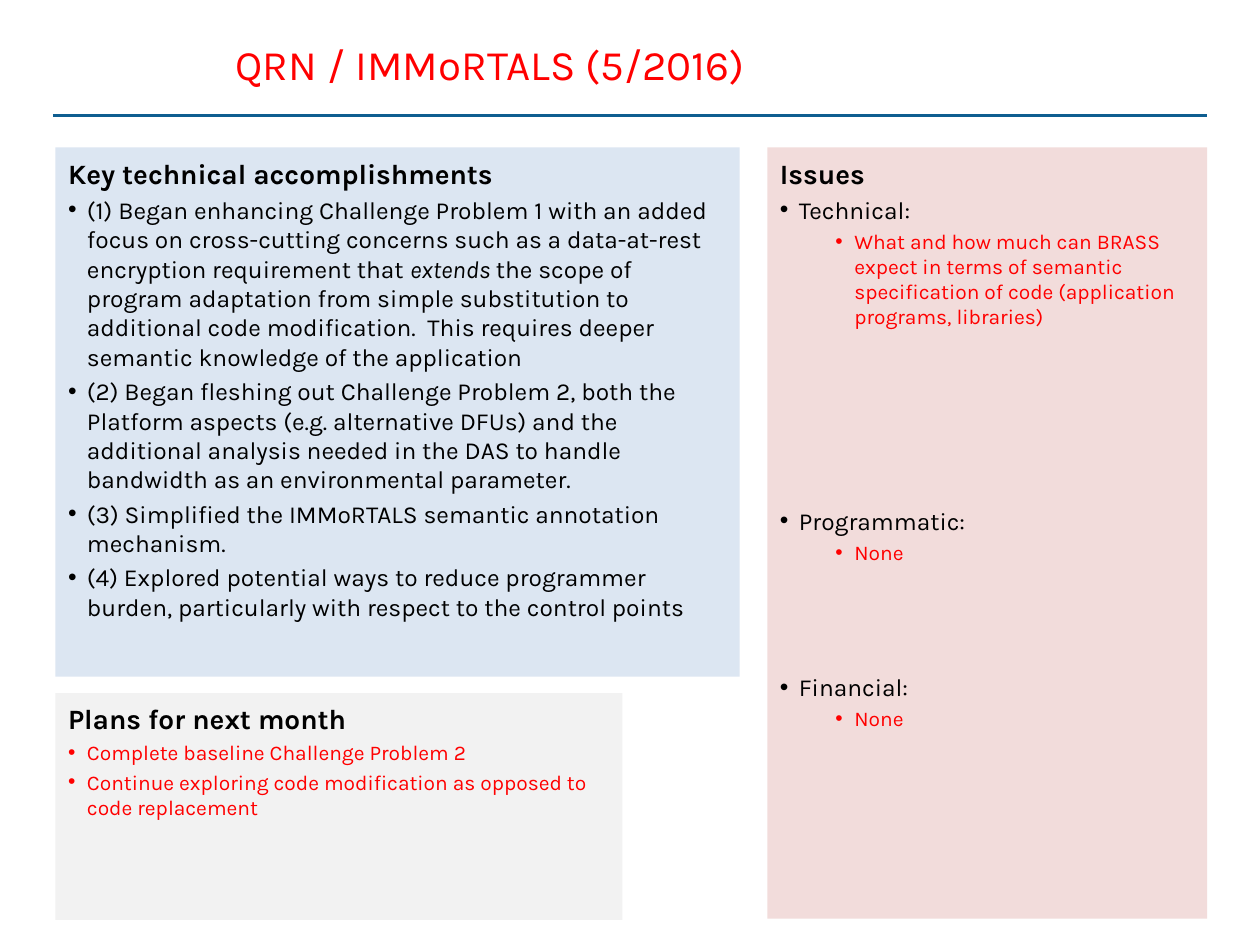
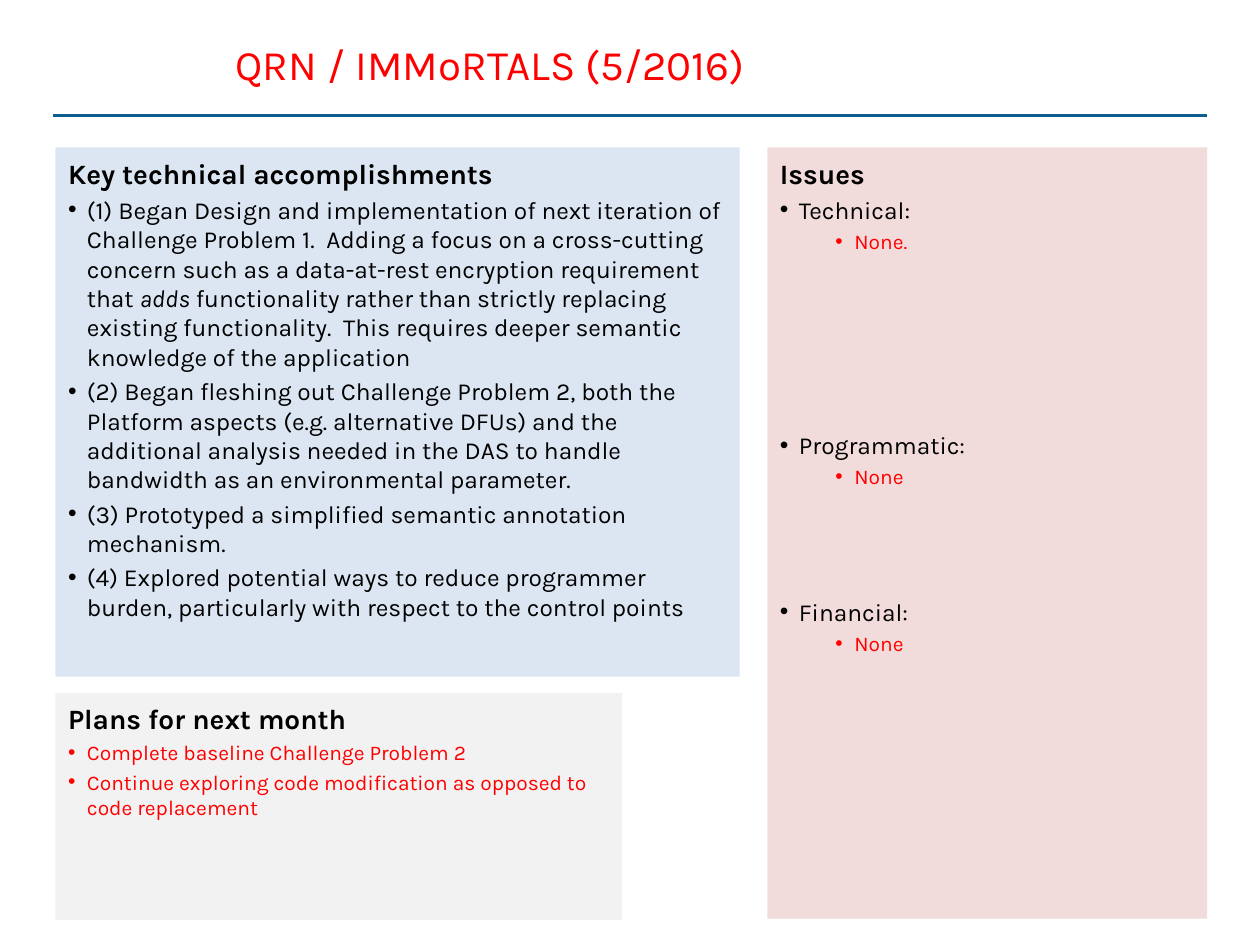
from dataclasses import dataclass

from lxml.etree import SubElement
from pptx import Presentation
from pptx.dml.color import RGBColor
from pptx.enum.shapes import MSO_CONNECTOR
from pptx.enum.text import MSO_ANCHOR, MSO_AUTO_SIZE, PP_ALIGN
from pptx.oxml.ns import qn
from pptx.util import Inches, Pt


@dataclass(frozen=True)
class Theme:
    face: str = "Karla"
    ink: str = "000000"
    alert: str = "FF0000"
    rule: str = "0F5E90"
    blue: str = "DCE6F2"
    rose: str = "F2DCDB"
    gray: str = "F2F2F2"
    title: int = 24
    head: int = 16
    item: int = 14
    note: int = 12
    lead: float = 0.2   # space before, as a share of the type size
    step: float = 19.6  # height of one skipped row, in points


WIDE, HIGH = 10, 7.5
COLS, ROWS = 100, 75
TITLE = "QRN / IMMoRTALS (5/2016)"
DONE = [
    "(2) Began fleshing out Challenge Problem 2, both the Platform aspects "
    "(e.g. alternative DFUs) and the additional analysis needed in the DAS to "
    "handle bandwidth as an environmental parameter.",
    "(4) Explored potential ways to reduce programmer burden, particularly "
    "with respect to the control points",
]
PLANS = [
    "Complete baseline Challenge Problem 2",
    "Continue exploring code modification as opposed to code replacement",
]
# Asterisks enclose italics.
MONTHS = [
    dict(
        first="(1) Began enhancing Challenge Problem 1 with an added focus on "
              "cross-cutting concerns such as a data-at-rest encryption "
              "requirement that *extends *the scope of program adaptation from "
              "simple substitution to additional code modification.  This "
              "requires deeper semantic knowledge of the application",
        third="(3) Simplified the IMMoRTALS semantic annotation mechanism.",
        issue="What and how much can BRASS expect in terms of semantic "
              "specification of code (application programs, libraries)",
    ),
    dict(
        first="(1) Began Design and implementation of next iteration of "
              "Challenge Problem 1.  Adding a focus on a cross-cutting concern "
              "such as a data-at-rest encryption requirement that *adds* "
              "functionality rather than strictly replacing existing "
              "functionality.  This requires deeper semantic knowledge of the "
              "application",
        third="(3) Prototyped a simplified semantic annotation mechanism.",
        issue="None.",
    ),
]


def apply(obj, **form):
    for name, value in form.items():
        setattr(obj, name, value)


class Deck:
    def __init__(self, theme):
        self.theme = theme
        self.file = Presentation()
        apply(self.file, slide_width=Inches(WIDE), slide_height=Inches(HIGH))
        self.slide = None

    def x(self, cols):
        return round(self.file.slide_width * cols / COLS)

    def y(self, rows):
        return round(self.file.slide_height * rows / ROWS)

    def start(self):
        self.slide = self.file.slides.add_slide(self.file.slide_layouts[4])

    def place(self, shape, left, top, width, height):
        apply(shape, left=self.x(left), top=self.y(top),
              width=self.x(width), height=self.y(height))

    def rule(self, left, right, row):
        line = self.slide.shapes.add_connector(
            MSO_CONNECTOR.STRAIGHT, self.x(left), self.y(row),
            self.x(right), self.y(row))
        line.line.color.rgb = RGBColor.from_string(self.theme.rule)
        line.line.width = Pt(1.75)
        SubElement(line._element.spPr, qn("a:effectLst"))

    def say(self, para, text, size, color, bold=False):
        for i, part in enumerate(text.split("*")):
            run = para.add_run()
            run.text = part
            apply(run.font, name=self.theme.face, size=Pt(size), bold=bold,
                  italic=i % 2 == 1)
            run.font.color.rgb = RGBColor.from_string(color)

    def title(self, text, *box):
        shape = self.slide.shapes.title
        self.place(shape, *box)
        apply(shape.text_frame, vertical_anchor=MSO_ANCHOR.MIDDLE,
              auto_size=MSO_AUTO_SIZE.NONE)
        para = shape.text_frame.paragraphs[0]
        para.alignment = PP_ALIGN.LEFT
        self.say(para, text, self.theme.title, self.theme.alert)

    def panel(self, slot, fill, head, items, *box):
        """Fill a body placeholder; items are (text, size, color, level, skip)."""
        shape = self.slide.placeholders[slot]
        self.place(shape, *box)
        shape.fill.solid()
        shape.fill.fore_color.rgb = RGBColor.from_string(fill)
        frame = shape.text_frame
        apply(frame, word_wrap=True, vertical_anchor=MSO_ANCHOR.TOP,
              auto_size=MSO_AUTO_SIZE.NONE, margin_top=Inches(0.07))
        para = frame.paragraphs[0]
        self.indent(para, 0, 0)
        para.space_before = Pt(0)
        self.say(para, head, self.theme.head, self.theme.ink, True)
        for text, size, color, level, skip in items:
            para = frame.add_paragraph()
            para.level = level
            self.indent(para, 0.59 if level else 0.15, -0.15, "•")
            para.space_before = Pt(size * self.theme.lead + skip * self.theme.step)
            self.say(para, text, size, color)

    def indent(self, para, left, hang, mark=None):
        props = para._p.get_or_add_pPr()
        props.set("marL", str(Inches(left)))
        props.set("indent", str(Inches(hang)))
        if mark:
            SubElement(props, qn("a:buFont"), typeface="Arial")
            SubElement(props, qn("a:buChar"), char=mark)
        else:
            SubElement(props, qn("a:buNone"))

    def clear(self):
        """Remove the placeholders left empty."""
        for shape in list(self.slide.placeholders):
            if not shape.text_frame.text:
                shape._element.getparent().remove(shape._element)


def report(deck, first, third, issue):
    look = deck.theme

    def item(text, skip=0):
        return text, look.item, look.ink, 0, skip

    def note(text, level=0):
        return text, look.note, look.alert, level, 0

    deck.start()
    deck.rule(4.2, 95.8, 9.2)
    done = [item(text) for text in (first, DONE[0], third, DONE[1])]
    deck.panel(1, look.blue, "Key technical accomplishments", done,
               4.4, 11.7, 54.3, 42)
    issues = [
        item("Technical:"), note(issue, 1),
        item("Programmatic:", 5), note("None", 1),
        item("Financial:", 3), note("None", 1),
    ]
    deck.panel(2, look.rose, "Issues", issues, 60.9, 11.7, 34.9, 61.2)
    deck.panel(3, look.gray, "Plans for next month",
               [note(text) for text in PLANS], 4.4, 55, 45, 18)
    deck.title(TITLE, 17.7, 1.7, 78.1, 6.7)
    deck.clear()


def main():
    deck = Deck(Theme())
    for month in MONTHS:
        report(deck, **month)
    deck.file.save("out.pptx")


if __name__ == "__main__":
    main()
